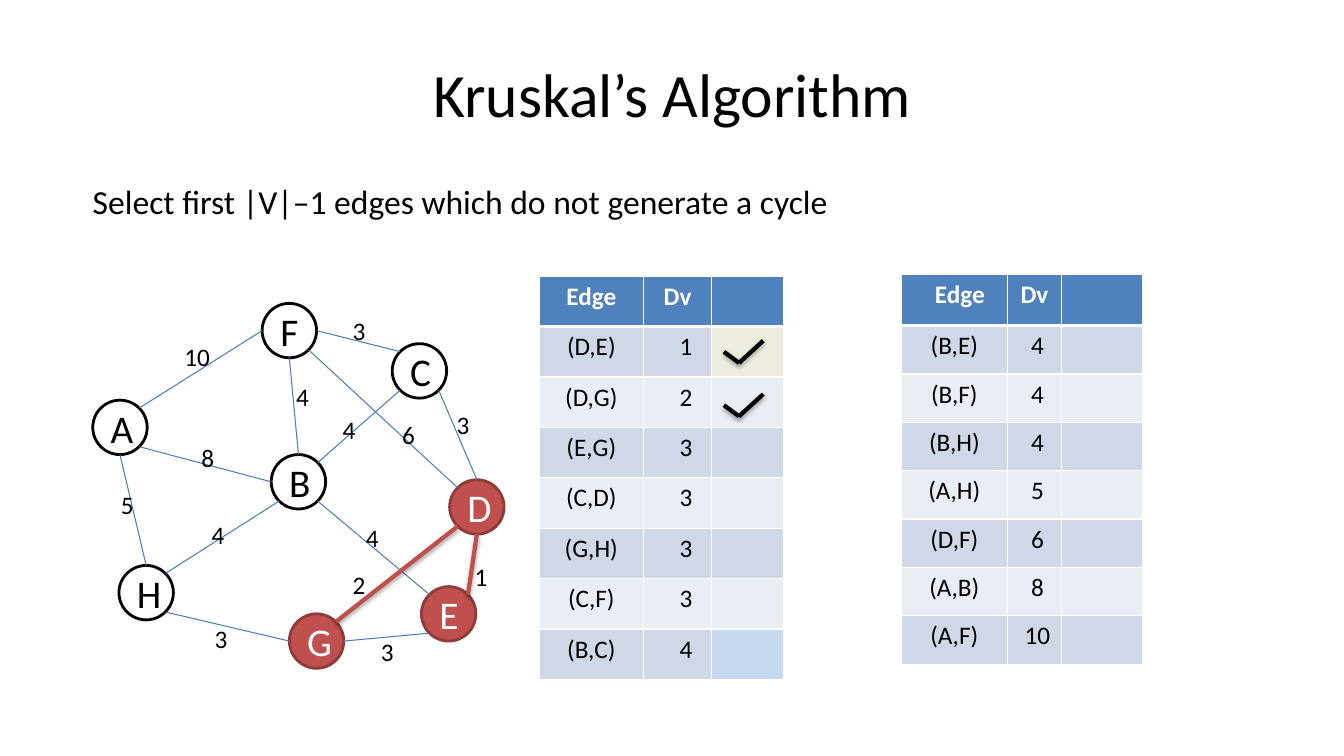
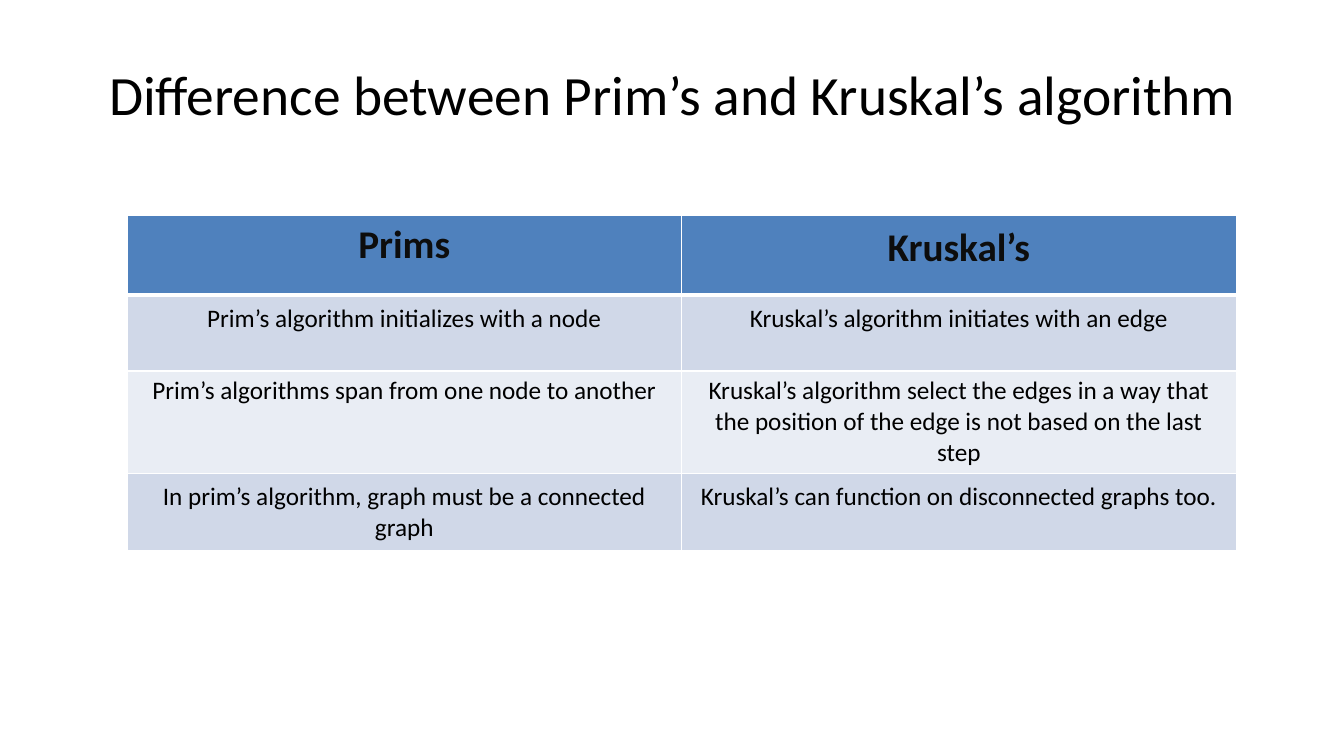
from lxml import etree
from pptx import Presentation
from pptx.dml.color import RGBColor
from pptx.enum.shapes import MSO_CONNECTOR, MSO_SHAPE
from pptx.enum.text import MSO_ANCHOR, PP_ALIGN
from pptx.oxml import parse_xml
from pptx.oxml.ns import nsdecls, qn
from pptx.util import Inches, Pt

FONT = "Calibri"
COLORS = {
    "black": "000000", "white": "FFFFFF", "soft_black": "0D0D0D",
    "edge": "4B7EBC", "chosen": "C0504D", "chosen_line": "8E3B39",
    "header": "4F81BD", "band_dark": "D0D8E8", "band_light": "E9EDF4",
    "cream": "EEECE1", "sky": "C6D9F1",
}
TITLE_BOX = (0.67, 0.3, 12, 1.25)

# Graph: node centres from the graph's corner, and the compass points of a node
RADIUS = 0.27
NODES = {
    "F": (1.95, 0.27), "A": (0.27, 1.23), "H": (0.53, 2.87), "G": (2.22, 3.35),
    "E": (3.53, 3.08), "D": (3.81, 2.02), "C": (3.24, 0.67), "B": (2.04, 1.77),
}
CHOSEN_NODES = "GED"
DIAGONAL = 0.71
COMPASS = {
    "n": (0, -1), "s": (0, 1), "w": (-1, 0), "e": (1, 0),
    "nw": (-DIAGONAL, -DIAGONAL), "ne": (DIAGONAL, -DIAGONAL),
    "sw": (-DIAGONAL, DIAGONAL), "se": (DIAGONAL, DIAGONAL),
}
# Start node and side, end node and side, weight, weight's offset
EDGES = [
    ("F", "w", "A", "ne", "10", (0.81, 0.33)),
    ("A", "s", "H", "n", "5", (0.18, 1.8)),
    ("H", "se", "G", "w", "3", (1.11, 3.12)),
    ("G", "e", "E", "sw", "3", (2.76, 3.25)),
    ("E", "ne", "D", "s", "1", (3.69, 2.51)),
    ("D", "n", "C", "se", "3", (3.51, 1.0)),
    ("C", "nw", "F", "e", "3", (2.48, 0.07)),
    ("B", "ne", "C", "sw", "4", (2.38, 1.05)),
    ("B", "n", "F", "s", "4", (1.92, 0.72)),
    ("B", "w", "A", "se", "8", (0.98, 1.33)),
    ("B", "sw", "H", "ne", "4", (1.08, 2.09)),
    ("B", "se", "E", "nw", "4", (2.61, 2.12)),
    ("D", "nw", "F", "se", "6", (2.97, 1.1)),
    ("D", "sw", "G", "ne", "2", (2.48, 2.59)),
]
CHOSEN_EDGES = ("ED", "DG")

FIRST_EDGES = [
    ("Edge", "Dv", ""), ("(D,E)", "1", ""), ("(D,G)", "2", ""), ("(E,G)", "3", ""),
    ("(C,D)", "3", ""), ("(G,H)", "3", ""), ("(C,F)", "3", ""), ("(B,C)", "4", ""),
]
LAST_EDGES = [
    ("Edge", "Dv", ""), ("(B,E)", "4", ""), ("(B,F)", "4", ""), ("(B,H)", "4", ""),
    ("(A,H)", "5", ""), ("(D,F)", "6", ""), ("(A,B)", "8", ""), ("(A,F)", "10", ""),
]
COMPARISON = [
    ("Prims", "Kruskal’s"),
    ("Prim’s algorithm initializes with a node",
     "Kruskal’s algorithm initiates with an edge"),
    ("Prim’s algorithms span from one node to another",
     "Kruskal’s algorithm select the edges in a way that the position of the edge "
     "is not based on the last step"),
    ("In prim’s algorithm, graph must be a connected graph",
     "Kruskal’s can function on disconnected graphs too."),
]


def color(name):
    return RGBColor.from_string(COLORS[name])


def write_text(frame, text, size=18, fill="black", bold=False, align=PP_ALIGN.LEFT,
               anchor=MSO_ANCHOR.TOP):
    frame.word_wrap = True
    frame.vertical_anchor = anchor
    paragraph = frame.paragraphs[0]
    paragraph.text = text
    paragraph.alignment = align
    font = paragraph.font
    font.name, font.size, font.bold = FONT, Pt(size), bold
    font.color.rgb = color(fill)


def add_text_box(slide, box, text, indent=0.1, **text_format):
    frame = slide.shapes.add_textbox(*map(Inches, box)).text_frame
    write_text(frame, text, **text_format)
    frame.margin_left = Inches(indent)


def add_titled_slide(presentation, title, size):
    slide = presentation.slides.add_slide(presentation.slide_layouts[5])
    shape = slide.shapes.title
    shape.left, shape.top, shape.width, shape.height = map(Inches, TITLE_BOX)
    write_text(shape.text_frame, title, size=size, align=PP_ALIGN.CENTER,
               anchor=MSO_ANCHOR.MIDDLE)
    return slide


def add_line(slide, start, end, stroke, width, shadow=False):
    line = slide.shapes.add_connector(MSO_CONNECTOR.STRAIGHT, *map(Inches, (*start, *end)))
    line.line.color.rgb = color(stroke)
    line.line.width = Pt(width)
    properties = line._element.spPr
    effects = etree.SubElement(properties, qn("a:effectLst"))
    if shadow:
        effects.append(parse_xml(
            f'<a:outerShdw {nsdecls("a")} blurRad="40000" dist="23000" dir="5400000" '
            f'rotWithShape="0"><a:srgbClr val="{COLORS["black"]}">'
            '<a:alpha val="35000"/></a:srgbClr></a:outerShdw>'))


# Weighted graph
def add_node(slide, center, name):
    chosen = name in CHOSEN_NODES
    x, y = center
    shape = slide.shapes.add_shape(
        MSO_SHAPE.OVAL,
        *map(Inches, (x - RADIUS, y - RADIUS, 2 * RADIUS, 2 * RADIUS)))
    shape.shadow.inherit = False
    shape.fill.solid()
    shape.fill.fore_color.rgb = color("chosen" if chosen else "white")
    shape.line.color.rgb = color("chosen_line" if chosen else "black")
    shape.line.width = Pt(2)
    write_text(shape.text_frame, name, size=28, fill="white" if chosen else "black",
               align=PP_ALIGN.CENTER, anchor=MSO_ANCHOR.MIDDLE)


def add_graph(slide, left, top):
    centers = {name: (left + x, top + y) for name, (x, y) in NODES.items()}

    def side_point(name, side):
        return [c + RADIUS * step for c, step in zip(centers[name], COMPASS[side])]

    for name, center in centers.items():
        add_node(slide, center, name)
    for start, start_side, end, end_side, *_ in EDGES:
        chosen = start + end in CHOSEN_EDGES
        add_line(slide, side_point(start, start_side), side_point(end, end_side),
                 "chosen" if chosen else "edge", 3 if chosen else 0.75, shadow=chosen)
    for *_, weight, (x, y) in EDGES:
        width = 0.27 * len(weight)
        add_text_box(slide, (left + x, top + y, width, 0.4), weight)


# Tables
def set_borders(cell, row):
    properties = cell._tc.get_or_add_tcPr()
    widths = {"L": 1, "R": 1, "T": 3 if row == 1 else 1, "B": 3 if row == 0 else 1}
    for side, width in widths.items():
        properties.append(parse_xml(
            f'<a:ln{side} {nsdecls("a")} w="{Pt(width)}"><a:solidFill>'
            f'<a:srgbClr val="{COLORS["white"]}"/></a:solidFill></a:ln{side}>'))


def add_banded_table(slide, left, top, widths, heights, rows, header_size=18,
                     header_fill="white", header_indents=None, indents=None,
                     special_fills=None):
    table = slide.shapes.add_table(
        len(rows), len(widths),
        *map(Inches, (left, top, sum(widths), sum(heights)))).table
    for column, width in zip(table.columns, widths):
        column.width = Inches(width)
    for row, height in zip(table.rows, heights):
        row.height = Inches(height)
    no_indents = [0] * len(widths)
    for r, texts in enumerate(rows):
        header = r == 0
        row_fill = "header" if header else ("band_light", "band_dark")[r % 2]
        row_indents = (header_indents if header else indents) or no_indents
        for c, text in enumerate(texts):
            cell = table.cell(r, c)
            set_borders(cell, r)
            cell.fill.solid()
            cell.fill.fore_color.rgb = color((special_fills or {}).get((r, c), row_fill))
            write_text(cell.text_frame, text, size=header_size if header else 18,
                       fill=header_fill if header else "black", bold=header,
                       align=PP_ALIGN.CENTER)
            cell.margin_left = Inches(0.1 + row_indents[c])
    return table


def add_check_mark(slide, left, top):
    bend = (left + 0.15, top + 0.22)
    add_line(slide, (left, top + 0.11), bend, "black", 3, shadow=True)
    add_line(slide, bend, (left + 0.39, top), "black", 3, shadow=True)


def build_kruskal_slide(presentation):
    slide = add_titled_slide(presentation, "Kruskal’s Algorithm", 44)
    add_text_box(slide, (0.67, 1.75, 12, 0.5),
                 "Select first |V|–1 edges which do not generate a cycle",
                 indent=0.25, size=24)
    add_graph(slide, 0.92, 3.01)
    left, top, row_height = 5.35, 2.74, 0.5
    add_banded_table(slide, left, top, (1.03, 0.68, 0.71), [row_height] * 8, FIRST_EDGES,
                     indents=(0, 0.17, 0),
                     special_fills={(1, 2): "cream", (7, 2): "sky"})
    for row in (1, 2):
        add_check_mark(slide, left + 1.83, top + 0.11 + row * 0.53)
    add_banded_table(slide, 8.94, 2.72, (1.05, 0.54, 0.8), [0.51] + [0.48] * 7, LAST_EDGES,
                     header_indents=(0.11, 0, 0), indents=(0, 0.06, 0))


def build_difference_slide(presentation):
    slide = add_titled_slide(
        presentation, "Difference between Prim’s and Kruskal’s algorithm", 39.6)
    table = add_banded_table(slide, 1.26, 2.14, (5.5, 5.5), (0.79, 0.75, 0.87, 0.67),
                             COMPARISON, header_size=28, header_fill="soft_black")
    # Cells with an even inset on all sides
    for row, column in ((0, 1), (1, 0), (1, 1), (3, 0), (3, 1)):
        cell = table.cell(row, column)
        cell.margin_left = cell.margin_right = Inches(0.08)
        cell.margin_top = cell.margin_bottom = Inches(0.08)


def main():
    presentation = Presentation()
    presentation.slide_width = Inches(13.33)
    presentation.slide_height = Inches(7.5)
    build_kruskal_slide(presentation)
    build_difference_slide(presentation)
    presentation.save("out.pptx")


if __name__ == "__main__":
    main()
